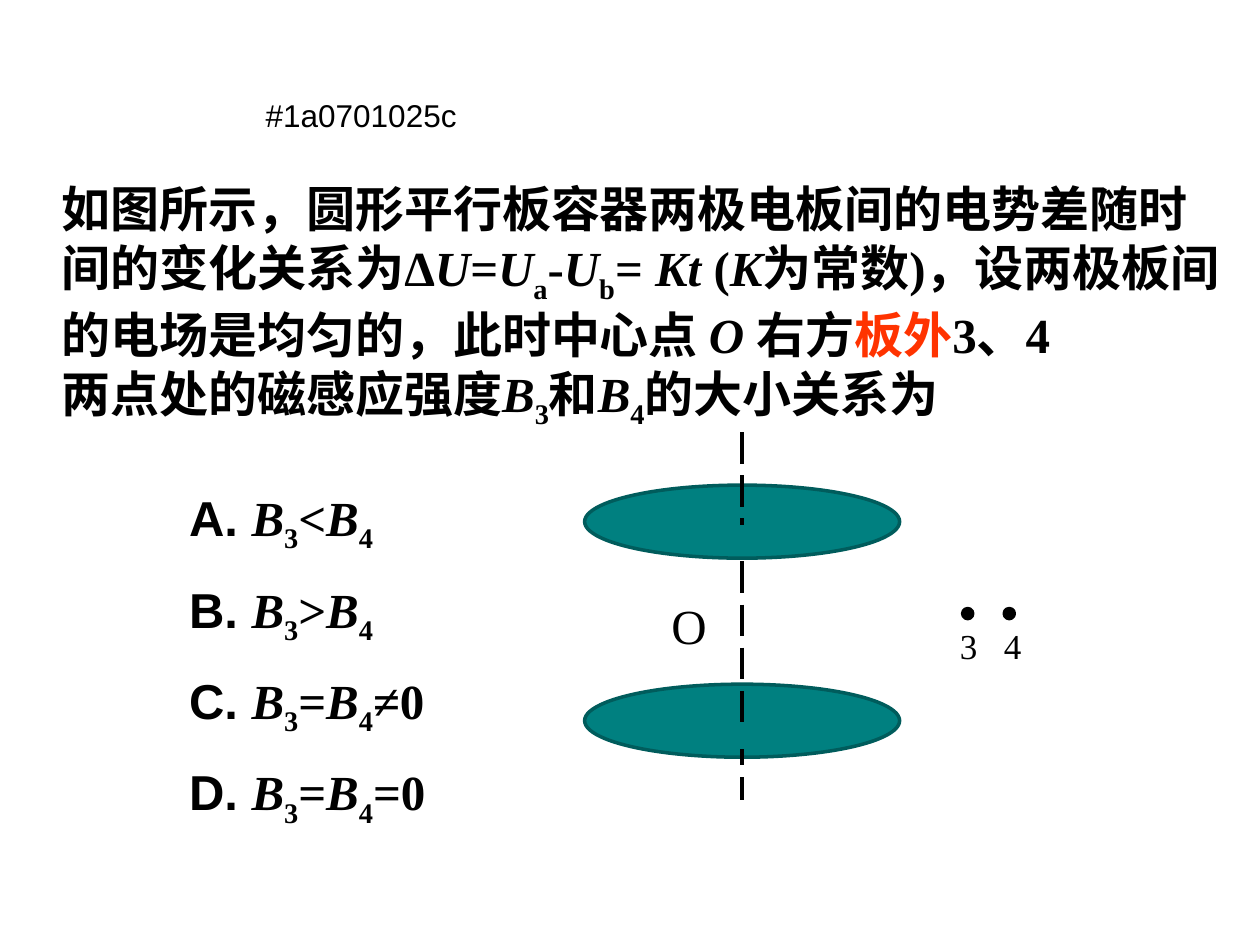
from dataclasses import dataclass
from lxml.etree import SubElement
from pptx import Presentation
from pptx.dml.color import RGBColor
from pptx.enum.dml import MSO_LINE
from pptx.enum.shapes import MSO_CONNECTOR, MSO_SHAPE
from pptx.enum.text import MSO_ANCHOR, MSO_AUTO_SIZE, PP_ALIGN
from pptx.oxml.ns import qn
from pptx.util import Inches, Pt


@dataclass(frozen=True)
class Theme:
    ink: str = "000000"
    red: str = "FF3300"
    plate: str = "008080"
    edge: str = "005C5C"
    main: int = 28
    mark: int = 20
    code: int = 18
    cjk: str = "Noto Sans CJK SC"
    serif: str = "Times New Roman"
    sans: str = "Arial"


THEME = Theme()
BOLD = dict(size=Pt(THEME.main), bold=True, italic=False)
STYLES = {
    "han": dict(BOLD, name=THEME.cjk),
    "red": dict(BOLD, name=THEME.cjk),
    "var": dict(BOLD, name=THEME.serif, italic=True),
    "math": dict(BOLD, name=THEME.serif),
    "sub": dict(BOLD, name=THEME.serif),
    "letter": dict(BOLD, name=THEME.sans),
    "point": dict(name=THEME.serif, size=Pt(THEME.main)),
    "mark": dict(name=THEME.serif, size=Pt(THEME.mark)),
    "code": dict(name=THEME.sans, size=Pt(THEME.code)),
}


def field(num):
    return [("B", "var"), (num, "sub")]


QUESTION = [
    [("如图所示，圆形平行板容器两极电板间的电势差随时间的变化关系为", "han"),
     ("Δ", "math"), ("U", "var"), ("=", "math"), ("U", "var"), ("a", "sub"),
     ("-", "math"), ("U", "var"), ("b", "sub"), ("= ", "math"),
     ("Kt ", "var"), ("(", "math"), ("K", "var"), ("为常数", "han"),
     (")，", "math"), ("设两极板间的电场是均匀的，此时中心点 ", "han"),
     ("O ", "var"), ("右方", "han"), ("板外", "red"), ("3、4", "math")],
    [("两点处的磁感应强度", "han"), *field("3"), ("和", "han"), *field("4"),
     ("的大小关系为", "han")],
]
CHOICES = [("A", "<", ""), ("B", ">", ""), ("C", "=", "≠0"), ("D", "=", "=0")]


def apply(target, values):
    for key, value in values.items():
        setattr(target, key, value)


def place(shape, box):
    names = ("left", "top", "width", "height")
    apply(shape, dict(zip(names, map(Inches, box))))


def write(shape, paras, wrap=True):
    """Fill a text shape with paragraphs of (text, style) runs."""
    frame = shape.text_frame
    apply(frame, dict(
        word_wrap=wrap, auto_size=MSO_AUTO_SIZE.SHAPE_TO_FIT_TEXT,
        vertical_anchor=MSO_ANCHOR.TOP,
        margin_left=Inches(0.1), margin_right=Inches(0.1),
        margin_top=Inches(0.05), margin_bottom=Inches(0.05)))
    for num, runs in enumerate(paras):
        para = frame.paragraphs[0] if num == 0 else frame.add_paragraph()
        para.alignment = PP_ALIGN.LEFT
        for text, style in runs:
            run = para.add_run()
            run.text = text
            apply(run.font, STYLES[style])
            color = THEME.red if style == "red" else THEME.ink
            run.font.color.rgb = RGBColor.from_string(color)
            props = run.font._element
            if style == "sub":
                props.set("baseline", "-25000")
            SubElement(props, qn("a:ea"), typeface=THEME.cjk)
    return frame.paragraphs


def label(shapes, box, text, style, wrap=True):
    item = shapes.add_textbox(*map(Inches, box))
    return write(item, [[(text, style)]], wrap)[0]


def solid(shapes, kind, box, fill, line):
    item = shapes.add_shape(kind, *map(Inches, box))
    item.shadow.inherit = False
    item.fill.solid()
    item.fill.fore_color.rgb = RGBColor.from_string(fill)
    item.line.color.rgb = RGBColor.from_string(line)
    item.line.width = Pt(2)


def question(slide, box):
    title = slide.shapes.title
    place(title, box)
    write(title, QUESTION)


def choices(slide, box):
    body = slide.placeholders[1]
    place(body, box)
    rows = [[(f"{letter}. ", "letter"), *field("3"), (sign, "math"),
             *field("4")] + ([(tail, "math")] if tail else [])
            for letter, sign, tail in CHOICES]
    for para in write(body, rows):
        para.space_before = Pt(14)
        props = para._p.get_or_add_pPr()
        props.set("marL", str(Inches(0.38)))
        props.set("indent", str(-Inches(0.38)))
        SubElement(props, qn("a:buNone"))


def axis(shapes, x, top, end):
    line = shapes.add_connector(
        MSO_CONNECTOR.STRAIGHT, *map(Inches, (x, top, x, end)))
    line.line.color.rgb = RGBColor.from_string(THEME.ink)
    line.line.width = Pt(2.25)
    line.line.dash_style = MSO_LINE.LONG_DASH
    SubElement(line._element.spPr, qn("a:effectLst"))


def points(shapes, box):
    """Two dots, with their numbers in one line below."""
    left, top, width, height = box
    gap = 0.33
    for num in range(2):
        solid(shapes, MSO_SHAPE.OVAL,
              (left + 0.12 + num * gap, top, 0.08, 0.08),
              THEME.ink, THEME.ink)
    para = label(shapes, (left, top + 0.08, width, height - 0.08),
                 "3\t4", "mark")
    stops = SubElement(para._p.get_or_add_pPr(), qn("a:tabLst"))
    SubElement(stops, qn("a:tab"), pos=str(Inches(0.35)), algn="l")


def capacitor(slide, box):
    left, top, width, height = box
    shapes = slide.shapes.add_group_shape().shapes
    plate = 2.5
    mid = left + plate / 2
    for drop in (0.42, 2):
        solid(shapes, MSO_SHAPE.OVAL, (left, top + drop, plate, 0.58),
              THEME.plate, THEME.edge)
    label(shapes, (left + 0.59, top + 1.25, 0.48, 0.57), "O", "point", False)
    axis(shapes, mid, top, top + height)
    points(shapes, (left + width - 1, top + 1.4, 1, 0.52))
    for shift, drop in ((-0.17, 2.33), (-0.25, 0.75)):
        solid(shapes, MSO_SHAPE.RECTANGLE,
              (mid + shift, top + drop, 0.42, 0.17), THEME.plate, THEME.plate)


def main():
    deck = Presentation()
    deck.slide_width, deck.slide_height = Inches(10), Inches(7.5)
    slide = deck.slides.add_slide(deck.slide_layouts[1])
    question(slide, (0.39, 1.37, 9.42, 2.1))
    choices(slide, (1.4, 3.82, 2.76, 2.81))
    capacitor(slide, (4.64, 3.43, 3.88, 2.92))
    label(slide.shapes, (2.01, 0.71, 2.89, 0.4), "#1a0701025c", "code")
    deck.save("out.pptx")


if __name__ == "__main__":
    main()
